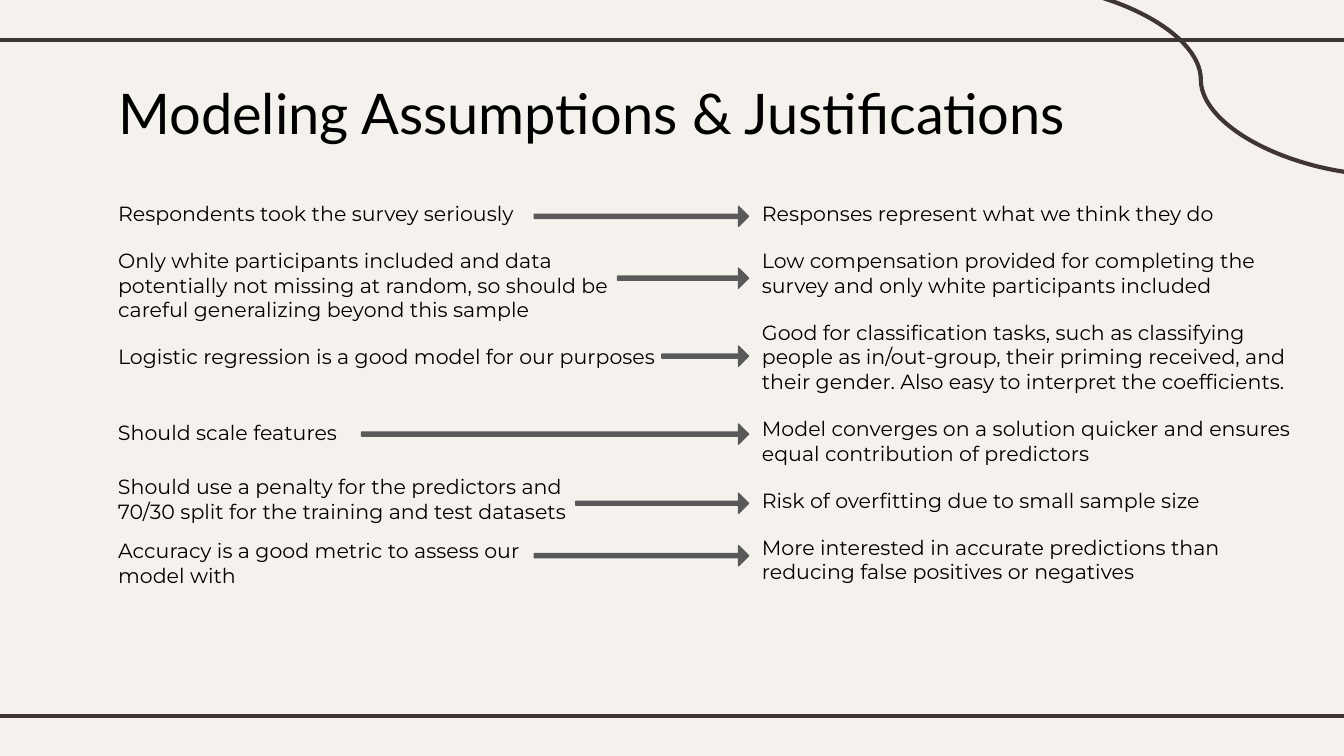
from dataclasses import dataclass

from pptx import Presentation
from pptx import util as u
from pptx.dml.color import RGBColor
from pptx.enum import shapes, text
from pptx.oxml import parse_xml

PX = 4572  # 200 px to the inch


@dataclass(frozen=True)
class Theme:
    paper: str = "F5F2EE"
    ink: str = "000000"
    rule: str = "3F3533"
    arrow: str = "595959"
    title_font: str = "Lato"
    body_font: str = "Montserrat"
    title_size: int = 30
    body_size: int = 11
    paragraph_gap: int = 12
    rule_width: float = 2.25
    arrow_outline: float = 0.75


THEME = Theme()
SLIDE = (2000, 1125)
INSET = 20
TITLE_BOX = (156, 97, 1574, 126)
ASSUMPTION_LEFT = 156
JUSTIFICATION_BOX = (1114, 279, 844, 720)

# top, width, height of each text block, then its paragraphs
ASSUMPTIONS = [
    (279, 844, 302, [
        "Respondents took the survey seriously",
        "Only white participants included and data potentially not missing at random, "
        "so should be careful generalizing beyond this sample",
        "Logistic regression is a good model for our purposes",
    ]),
    (605, 912, 82, ["Should scale features"]),
    (686, 786, 78, ["Should use a penalty for the predictors and "
                    "70/30 split for the training and test datasets"]),
    (781, 656, 114, ["Accuracy is a good metric to assess our model with"]),
]
JUSTIFICATIONS = [
    "Responses represent what we think they do",
    "Low compensation provided for completing the survey and only white participants included",
    "Good for classification tasks, such as classifying people as in/out-group, their priming "
    "received, and their gender. Also easy to interpret the coefficients.",
    "Model converges on a solution quicker and ensures equal contribution of predictors",
    "Risk of overfitting due to small sample size",
    "More interested in accurate predictions than reducing false positives or negatives",
]
# left end and top of each arrow; all point at the justification column
ARROW_STARTS = [(795, 307), (919, 399), (985, 515), (538, 631), (857, 734), (795, 812)]
ARROW_HEIGHT = 30


def px(*lengths):
    return [u.Emu(length * PX) for length in lengths]


def set_values(target, values):
    for name, value in values.items():
        setattr(target, name, value)


def write(frame, paragraphs, font, size):
    inset = u.Emu(INSET * PX)
    set_values(frame, {
        "word_wrap": True, "auto_size": text.MSO_AUTO_SIZE.NONE,
        "vertical_anchor": text.MSO_ANCHOR.TOP,
        "margin_left": inset, "margin_right": inset,
        "margin_top": inset, "margin_bottom": inset,
    })
    for index, wording in enumerate(paragraphs):
        paragraph = frame.add_paragraph() if index else frame.paragraphs[0]
        set_values(paragraph, {
            "alignment": text.PP_ALIGN.LEFT,
            "space_before": u.Pt(THEME.paragraph_gap if index else 0),
        })
        run = paragraph.add_run()
        run.text = wording
        set_values(run.font, {"name": font, "size": u.Pt(size)})
        run.font.color.rgb = RGBColor.from_string(THEME.ink)


def add_rule(slide, kind, start, end):
    rule = slide.shapes.add_connector(kind, *px(*start, *end))
    rule.line.color.rgb = RGBColor.from_string(THEME.rule)
    rule.line.width = u.Pt(THEME.rule_width)
    rule._element.spPr.append(parse_xml(
        '<a:effectLst xmlns:a="http://schemas.openxmlformats.org/drawingml/2006/main"/>'))


def add_frame(slide, box):
    """Draw the two rules and the corner curve, which run past the edges of the box."""
    left, top, width, height = box
    right = left + width
    for y in (top + 60, top + height - 59):
        add_rule(slide, shapes.MSO_CONNECTOR.STRAIGHT, (left - 16, y), (right + 16, y))
    add_rule(slide, shapes.MSO_CONNECTOR.CURVE,
             (right - 494, top - 24), (right + 68, top + 261))


def add_title(slide, box):
    title = slide.shapes.title
    set_values(title, dict(zip(("left", "top", "width", "height"), px(*box))))
    write(title.text_frame, ["Modeling Assumptions & Justifications"],
          THEME.title_font, THEME.title_size)


def add_body(slide, box, paragraphs):
    body = slide.shapes.add_textbox(*px(*box))
    write(body.text_frame, paragraphs, THEME.body_font, THEME.body_size)


def add_arrow(slide, box):
    arrow = slide.shapes.add_shape(shapes.MSO_SHAPE.RIGHT_ARROW, *px(*box))
    arrow.shadow.inherit = False
    arrow.adjustments[0] = 0.2
    arrow.adjustments[1] = 0.5
    arrow.fill.solid()
    arrow.fill.fore_color.rgb = RGBColor.from_string(THEME.arrow)
    arrow.line.color.rgb = RGBColor.from_string(THEME.arrow)
    arrow.line.width = u.Pt(THEME.arrow_outline)


def main():
    deck = Presentation()
    deck.slide_width, deck.slide_height = px(*SLIDE)
    slide = deck.slides.add_slide(deck.slide_layouts.get_by_name("Title Only"))
    slide.background.fill.solid()
    slide.background.fill.fore_color.rgb = RGBColor.from_string(THEME.paper)

    add_frame(slide, (0, 0, *SLIDE))
    add_title(slide, TITLE_BOX)
    for top, width, height, paragraphs in ASSUMPTIONS:
        add_body(slide, (ASSUMPTION_LEFT, top, width, height), paragraphs)
    add_body(slide, JUSTIFICATION_BOX, JUSTIFICATIONS)
    for left, top in ARROW_STARTS:
        add_arrow(slide, (left, top, JUSTIFICATION_BOX[0] - left, ARROW_HEIGHT))

    deck.save("out.pptx")


if __name__ == "__main__":
    main()
